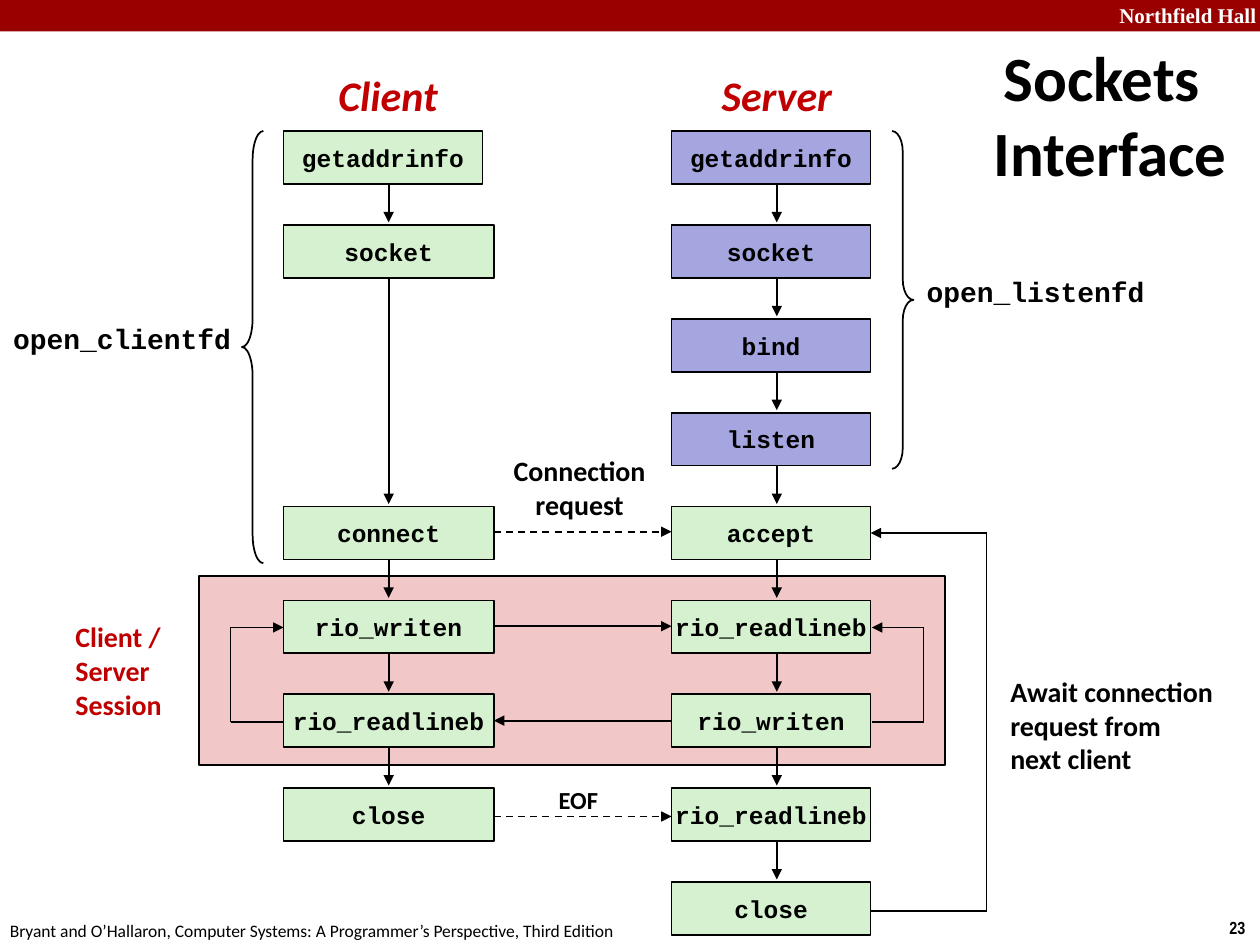
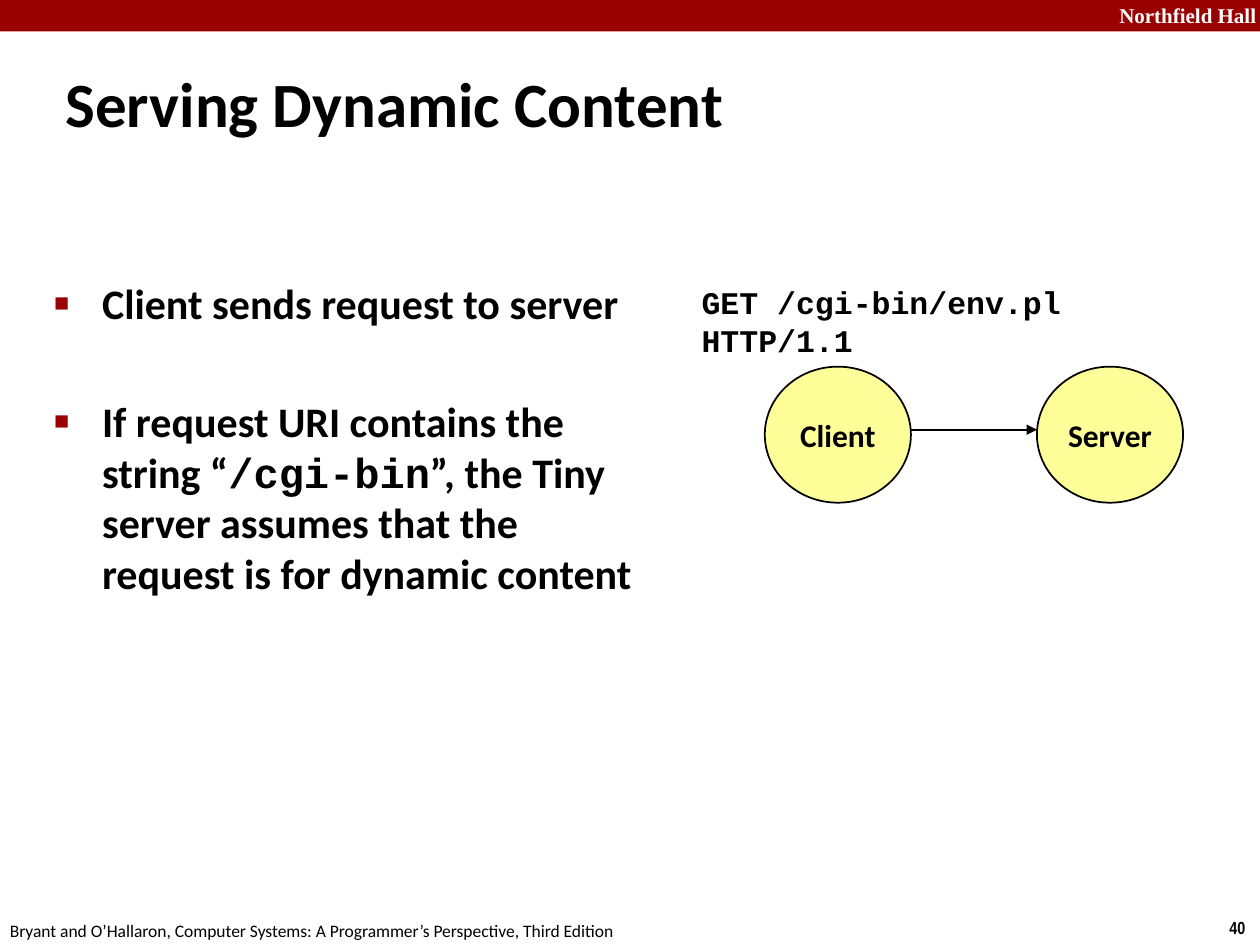
from lxml.etree import SubElement
from pptx import Presentation
from pptx.dml.color import RGBColor
from pptx.enum.dml import MSO_LINE_DASH_STYLE as Dash
from pptx.enum.shapes import MSO_CONNECTOR as Connector, MSO_SHAPE as Shape
from pptx.enum.text import MSO_ANCHOR as Anchor, MSO_AUTO_SIZE as AutoSize, PP_ALIGN as Align
from pptx.oxml.ns import qn
from pptx.util import Inches, Pt

# Shared colours and fonts
BLACK, WHITE = "000000", "FFFFFF"
BAND, ACCENT = "990000", "C00000"
GREEN, VIOLET, PINK, YELLOW = "D5F1CF", "A5A6DF", "F1C7C7", "FFFF99"
SANS, MONO = "Calibri", "Courier New"

# Flow chart grid, in inches
ROW_PITCH, STEP_HEIGHT, AXIS = 0.745, 0.42, 0.835
CLIENT_WIDTH, SERVER_WIDTH = 1.67, 1.58


def colour(value):
    return RGBColor.from_string(value)


def add_span(para, text, size, font=SANS, ink=BLACK, bold=True, italic=False):
    span = para.add_run()
    span.text = text
    span.font.size = Pt(size)
    span.font.name = font
    span.font.bold = bold
    span.font.italic = italic
    span.font.color.rgb = colour(ink)


def write(frame, lines, size, align=Align.CENTER, anchor=Anchor.MIDDLE, wrap=False, **style):
    """Fill a text frame with one paragraph per line."""
    frame.auto_size = AutoSize.NONE
    frame.word_wrap = wrap
    frame.vertical_anchor = anchor
    for index, line in enumerate(lines):
        para = frame.add_paragraph() if index else frame.paragraphs[0]
        para.alignment = align
        add_span(para, line, size, **style)


def add_label(page, box, lines, size, **style):
    label = page.shapes.add_textbox(*map(Inches, box))
    write(label.text_frame, lines, size, **style)


def add_box(page, kind, box, fill=None, outlined=True):
    shape = page.shapes.add_shape(kind, *map(Inches, box))
    shape.shadow.inherit = False
    if fill:
        shape.fill.solid()
        shape.fill.fore_color.rgb = colour(fill)
    else:
        shape.fill.background()
    if outlined:
        shape.line.color.rgb = colour(BLACK)
        shape.line.width = Pt(1)
    else:
        shape.line.fill.background()
    return shape


def add_arrow(page, *points, dashed=False):
    """Join the points with straight lines; the last one ends in an arrowhead."""
    for start, end in zip(points, points[1:]):
        line = page.shapes.add_connector(Connector.STRAIGHT, *map(Inches, start + end))
        line.line.color.rgb = colour(BLACK)
        line.line.width = Pt(1)
        if dashed:
            line.line.dash_style = Dash.DASH
        if end is points[-1]:
            SubElement(line.line._get_or_add_ln(), qn("a:tailEnd"), type="triangle")
        SubElement(line._element.spPr, qn("a:effectLst"))


def place(holder, box):
    holder.left, holder.top, holder.width, holder.height = map(Inches, box)


def hang(para, inches):
    props = para._p.get_or_add_pPr()
    props.set("marL", str(Inches(inches)))
    props.set("indent", str(-Inches(inches)))
    return props


def add_page(deck, layout, number, title, box, align, anchor):
    """Start a slide with its title, top band and footer."""
    page = deck.slides.add_slide(deck.slide_layouts[layout])
    heading = page.shapes.title
    place(heading, box)
    write(heading.text_frame, [title], 36, align, anchor, wrap=True)
    hang(heading.text_frame.paragraphs[0], 0.13)

    add_box(page, Shape.RECTANGLE, (0, 0, 10, 0.25), BAND, outlined=False)
    add_label(page, (8.64, -0.03, 1.43, 0.3), ["Northfield Hall"], 12, align=Align.RIGHT,
              anchor=Anchor.TOP, font="Times New Roman", ink=WHITE)
    add_label(page, (9.66, 7.23, 0.34, 0.27), [str(number)], 10, align=Align.LEFT,
              anchor=Anchor.TOP, font="Arial Narrow")
    add_label(page, (-0.02, 7.25, 5.08, 0.27),
              ["Bryant and O’Hallaron, Computer Systems: A Programmer’s Perspective, Third Edition"],
              10, align=Align.LEFT, anchor=Anchor.TOP, bold=False)
    return page


def add_session(page, left, top, width, height):
    """Shaded session area with its name and the two request loops."""
    add_box(page, Shape.RECTANGLE, (left, top, width, height), PINK)
    upper, lower = top + 0.41, top + 1.16
    right = left + width
    for step_edge, turn in ((left + 0.67, left + 0.25), (right - 0.58, right - 0.17)):
        add_arrow(page, (step_edge, lower), (turn, lower), (turn, upper), (step_edge, upper))
    add_label(page, (left - 1.08, top + 0.3, 0.92, 0.9), ["Client / Server", "Session"], 16,
              align=Align.LEFT, wrap=True, ink=ACCENT)


def add_column(page, left, top, steps):
    """Steps on the row grid, each given as row, name, fill and width."""
    tops = [top + row * ROW_PITCH for row, *_ in steps]
    for above, below in zip(tops, tops[1:]):
        add_arrow(page, (left + AXIS, above + 0.38), (left + AXIS, below - 0.02))
    for step_top, (_, name, fill, width) in zip(tops, steps):
        step = add_box(page, Shape.RECTANGLE, (left, step_top, width, STEP_HEIGHT), fill)
        write(step.text_frame, [name], 14, font=MONO)


def add_exchanges(page, left, top, width):
    """Messages in the gap between the client and server columns."""
    right = left + width
    request, upper, lower, eof = (top + shift for shift in (3.18, 3.93, 4.68, 5.44))
    add_arrow(page, (left, request), (right, request), dashed=True)
    add_arrow(page, (left, upper), (right, upper))
    add_arrow(page, (right, lower), (left, lower))
    add_arrow(page, (left, eof), (right, eof), dashed=True)
    add_label(page, (left + 0.05, request - 0.67, 1.26, 0.64), ["Connection", "request"], 16)
    add_label(page, (left + 0.41, eof - 0.3, 0.52, 0.34), ["EOF"], 14)


def add_brace(page, kind, box, bend, name, label_left, label_top):
    brace = add_box(page, kind, box)
    brace.adjustments[0] = bend
    brace.adjustments[1] = 0.5
    add_label(page, (label_left, label_top, 1.94, 0.37), [name], 16, font=MONO)


def add_sockets_page(deck):
    page = add_page(deck, 5, 23, "Sockets Interface", (7.58, 0.25, 2.33, 1.31),
                    Align.CENTER, Anchor.MIDDLE)
    client, server, top = 2.25, 5.33, 1.04
    add_session(page, 1.58, 4.57, 5.92, 1.5)

    # Column headings and steps
    add_label(page, (2.58, 0.5, 1, 0.5), ["Client"], 24, ink=ACCENT, italic=True)
    add_label(page, (5.62, 0.5, 1.09, 0.5), ["Server"], 24, ink=ACCENT, italic=True)
    client_steps = ((0, "getaddrinfo"), (1, "socket"), (4, "connect"),
                    (5, "rio_writen"), (6, "rio_readlineb"), (7, "close"))
    add_column(page, client, top, [(row, name, GREEN, CLIENT_WIDTH if row else SERVER_WIDTH)
                                   for row, name in client_steps])
    server_steps = ("getaddrinfo", "socket", "bind", "listen", "accept",
                    "rio_readlineb", "rio_writen", "rio_readlineb", "close")
    add_column(page, server, top, [(row, name, VIOLET if row < 4 else GREEN, SERVER_WIDTH)
                                   for row, name in enumerate(server_steps)])
    client_edge = client + CLIENT_WIDTH
    add_exchanges(page, client_edge, top, server - client_edge)

    # Loop back to accept
    server_edge = server + SERVER_WIDTH
    add_arrow(page, (server_edge, 7.23), (7.83, 7.23), (7.83, 4.23), (server_edge, 4.23))
    add_label(page, (7.92, 5.3, 1.83, 0.91),
              ["Await connection", "request from", "next client"], 16, align=Align.LEFT)

    # Helper functions spanning several steps
    add_brace(page, Shape.RIGHT_BRACE, (7.08, top, 0.17, 2.68), 0.96, "open_listenfd", 7.25, 2.13)
    add_brace(page, Shape.LEFT_BRACE, (1.92, top, 0.17, 3.43), 1.33, "open_clientfd", 0, 2.5)


def add_bullets(page, box, items):
    """Square-bulleted list; each item is a list of text and font pairs."""
    body = page.placeholders[1]
    place(body, box)
    frame = body.text_frame
    frame.auto_size = AutoSize.NONE
    for index, item in enumerate(items):
        para = frame.add_paragraph() if index else frame.paragraphs[0]
        para.space_before = Pt(39 if index else 5)
        props = hang(para, 0.38)
        SubElement(SubElement(props, qn("a:buClr")), qn("a:srgbClr"), val=BAND)
        SubElement(props, qn("a:buSzPct"), val="60000")
        SubElement(props, qn("a:buChar"), char="■")
        for text, font in item:
            add_span(para, text, 24, font)


def add_request(page, left, top):
    """Client and server circles joined by the request."""
    width, height, pitch = 1.16, 1.08, 2.16
    for index, name in enumerate(("Client", "Server")):
        circle = add_box(page, Shape.OVAL, (left + index * pitch, top, width, height), YELLOW)
        write(circle.text_frame, [name], 18)
    add_arrow(page, (left + width, top + 0.5), (left + pitch, top + 0.5))
    add_label(page, (left - 0.6, top - 0.71, 4.3, 0.7), ["GET /cgi-bin/env.pl HTTP/1.1"], 18,
              align=Align.LEFT, wrap=True, font=MONO)


def add_content_page(deck):
    page = add_page(deck, 1, 40, "Serving Dynamic Content", (0.42, 0.46, 6.67, 0.63),
                    Align.LEFT, Anchor.TOP)
    add_bullets(page, (0.33, 2.15, 4.84, 4.87), [
        [("Client sends request to server", SANS)],
        [("If request URI contains the string “", SANS), ("/cgi-bin", MONO),
         ("”, the Tiny server assumes that the request is for dynamic content", SANS)],
    ])
    add_request(page, 6.07, 2.91)


deck = Presentation()
deck.slide_width, deck.slide_height = Inches(10), Inches(7.5)
add_sockets_page(deck)
add_content_page(deck)
deck.save("out.pptx")
